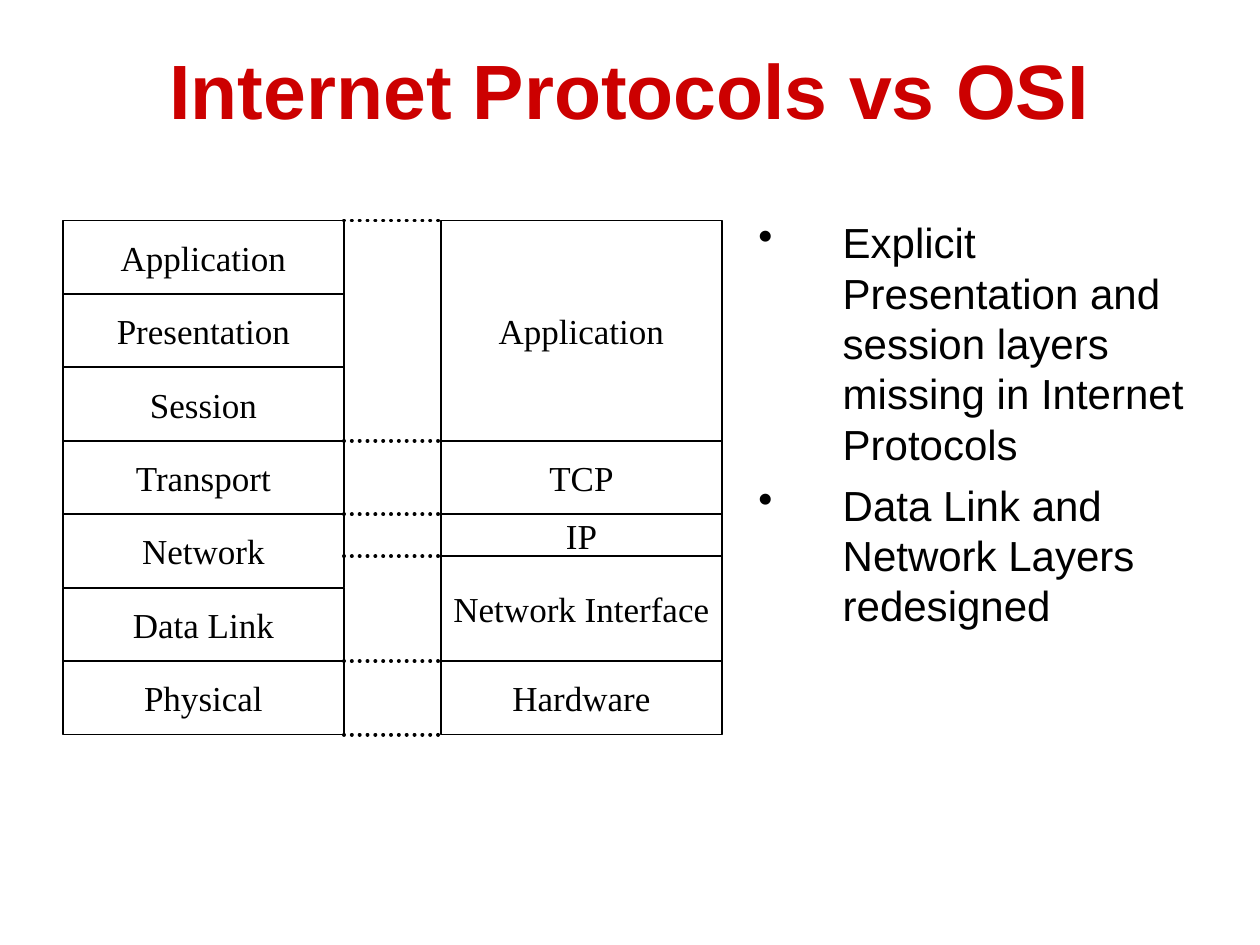
from itertools import accumulate

from pptx import Presentation
from pptx.dml.color import RGBColor
from pptx.enum.dml import MSO_LINE
from pptx.enum.shapes import MSO_CONNECTOR, MSO_SHAPE
from pptx.enum.text import MSO_ANCHOR, PP_ALIGN
from pptx.oxml.xmlchemy import OxmlElement
from pptx.util import Inches, Pt

BLACK = RGBColor(0x00, 0x00, 0x00)
WHITE = RGBColor(0xFF, 0xFF, 0xFF)
RED = RGBColor(0xCC, 0x00, 0x00)

# Layer heights are counted in twelfths of an inch.
OSI_LAYERS = [(name, 7) for name in (
    "Application", "Presentation", "Session", "Transport",
    "Network", "Data Link", "Physical")]
INTERNET_LAYERS = [("Application", 21), ("TCP", 7), ("IP", 4),
                   ("Network Interface", 10), ("Hardware", 7)]
DIFFERENCES = [
    "Explicit Presentation and session layers missing in Internet Protocols",
    "Data Link and Network Layers redesigned",
]


def write_text(frame, paragraphs, *, font="Arial", size=24, color=BLACK,
               bold=False, align=None, anchor=MSO_ANCHOR.TOP, wrap=True,
               space_before=0, line_spacing=None, bullet_indent=None):
    frame.word_wrap = wrap
    frame.vertical_anchor = anchor
    for index, text in enumerate(paragraphs):
        paragraph = frame.paragraphs[0] if index == 0 else frame.add_paragraph()
        paragraph.alignment = align
        paragraph.space_before = Pt(space_before)
        paragraph.line_spacing = line_spacing
        run = paragraph.add_run()
        run.text = text
        run.font.name = font
        run.font.size = Pt(size)
        run.font.bold = bold
        run.font.color.rgb = color
        if bullet_indent:
            add_bullet(paragraph, bullet_indent)


def add_bullet(paragraph, indent):
    properties = paragraph._p.get_or_add_pPr()
    properties.set("marL", str(indent))
    properties.set("indent", str(-indent))
    bullet = OxmlElement("a:buChar")
    bullet.set("char", "•")
    properties.append(bullet)


def add_title(slide, left, top, width, height):
    box = slide.shapes.add_textbox(left, top, width, height)
    write_text(box.text_frame, ["Internet Protocols vs OSI"], size=44, color=RED,
               bold=True, align=PP_ALIGN.CENTER, anchor=MSO_ANCHOR.MIDDLE)


def add_differences(slide, left, top, width, height):
    box = slide.shapes.add_textbox(left, top, width, height)
    write_text(box.text_frame, DIFFERENCES, space_before=6,
               bullet_indent=Inches(0.67))


def add_stack(slide, layers, left, top, width, height):
    """Stack the layers in the box and return the edges between them."""
    total = sum(units for _, units in layers)
    edges = [top + height * units // total
             for units in accumulate((units for _, units in layers), initial=0)]
    for (name, _), upper, lower in zip(layers, edges, edges[1:]):
        layer = slide.shapes.add_shape(MSO_SHAPE.RECTANGLE, left, upper,
                                       width, lower - upper)
        layer.shadow.inherit = False
        layer.fill.solid()
        layer.fill.fore_color.rgb = WHITE
        layer.line.color.rgb = BLACK
        layer.line.width = Pt(1)
        write_text(layer.text_frame, [name], font="Times New Roman", size=20,
                   align=PP_ALIGN.CENTER, anchor=MSO_ANCHOR.MIDDLE, wrap=False)
    return edges


def add_dotted_line(slide, left, right, y):
    link = slide.shapes.add_connector(MSO_CONNECTOR.STRAIGHT, left, y, right, y)
    link.line.color.rgb = BLACK
    link.line.width = Pt(2.25)
    link.line.dash_style = MSO_LINE.ROUND_DOT
    link.line._get_or_add_ln().set("cap", "rnd")
    link._element.spPr.append(OxmlElement("a:effectLst"))


def add_comparison(slide, left, top, width, height):
    """Place both stacks, with dotted lines at the edges of the Internet one."""
    stack_width = Inches(2.23)
    internet_left = left + width - stack_width
    add_stack(slide, OSI_LAYERS, left, top, stack_width, height)
    edges = add_stack(slide, INTERNET_LAYERS, internet_left, top,
                      stack_width, height)
    for edge in edges:
        add_dotted_line(slide, left + stack_width, internet_left, edge)


def main():
    presentation = Presentation()
    presentation.slide_width = Inches(10)
    presentation.slide_height = Inches(7.5)
    slide = presentation.slides.add_slide(presentation.slide_layouts[6])
    add_differences(slide, Inches(5.92), Inches(1.67), Inches(3.83), Inches(5.42))
    add_title(slide, Inches(0.75), Inches(0.08), Inches(8.5), Inches(1.25))
    add_comparison(slide, Inches(0.5), Inches(1.75), Inches(5.23), Inches(4.08))
    presentation.save("out.pptx")


if __name__ == "__main__":
    main()
